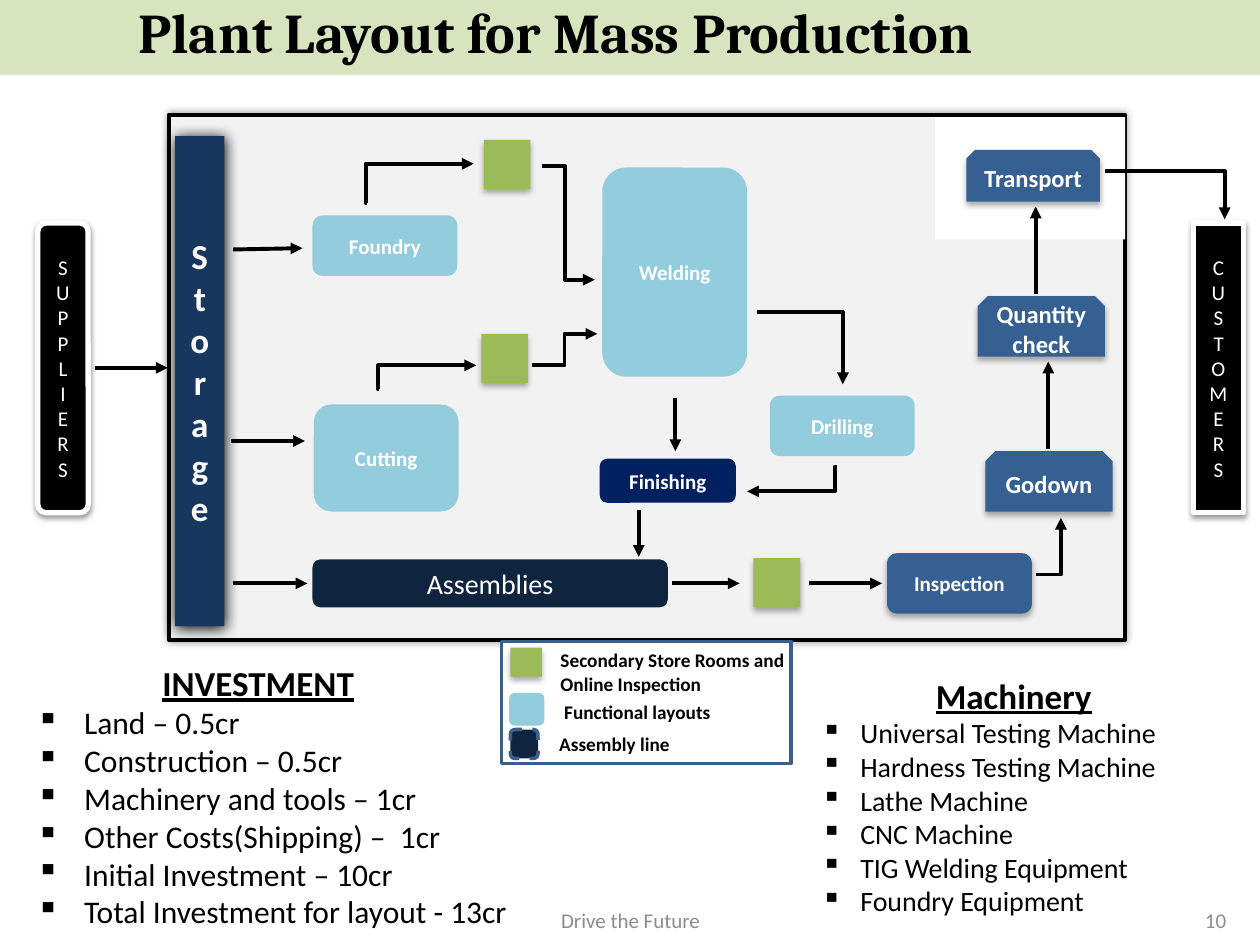
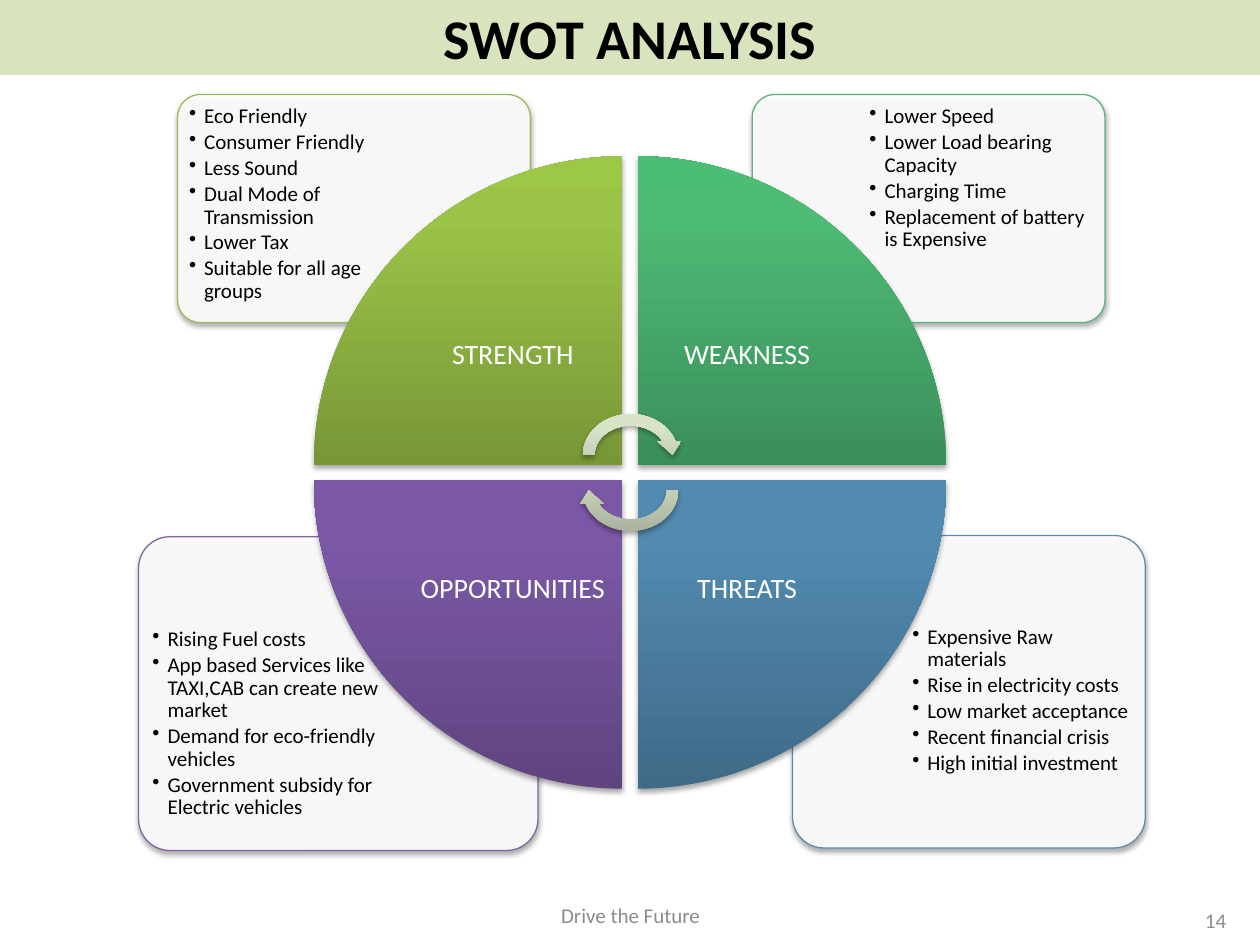
from lxml import etree
from pptx import Presentation
from pptx.dml.color import RGBColor
from pptx.enum.dml import MSO_LINE
from pptx.enum.shapes import MSO_CONNECTOR, MSO_SHAPE
from pptx.enum.text import MSO_ANCHOR, PP_ALIGN
from pptx.oxml.ns import qn
from pptx.util import Inches, Pt

RECT = MSO_SHAPE.RECTANGLE
ROUND = MSO_SHAPE.ROUNDED_RECTANGLE
SNIP = MSO_SHAPE.SNIP_2_SAME_RECTANGLE
WEDGE = MSO_SHAPE.PIE_WEDGE
SWIRL = MSO_SHAPE.CIRCULAR_ARROW
LINE, ELBOW = MSO_CONNECTOR.STRAIGHT, MSO_CONNECTOR.ELBOW
LEFT, CENTER, RIGHT = PP_ALIGN.LEFT, PP_ALIGN.CENTER, PP_ALIGN.RIGHT
TOP, MIDDLE = MSO_ANCHOR.TOP, MSO_ANCHOR.MIDDLE
DASH = MSO_LINE.DASH

# Shared colours
BLACK, WHITE, GREY = "000000", "FFFFFF", "8C8C8C"
BAND, FLOOR = "D7E4BD", "F2F2F2"
GREEN, SKY, STEEL = "9BBB59", "93CDDD", "376092"
NAVY, BLUE, DARK, EDGE = "17375E", "002060", "0F243E", "3A5F8C"

# Shadows: opacity %, blur, distance (points)
GLOW = (40, 5, 0)
DROP = (32, 3.5, 2.2)
DEEP = (100, 8.5, 1)
SOFT = (38, 3.1, 1.6)
LIFT = (35, 3.1, 1.8)


def rgb(code):
    return RGBColor.from_string(code)


def node(parent, tag, **attrs):
    child = etree.SubElement(parent, qn(tag))
    for key, value in attrs.items():
        child.set(key, str(value))
    return child


# Text
def write(frame, text, size=12, color=BLACK, bold=False, under=False, font="Calibri",
          align=LEFT, indent=0, bullet=None, spacing=None, after=None):
    """Add one paragraph to the frame."""
    para = frame.paragraphs[0]
    if para.runs:
        para = frame.add_paragraph()
    para.alignment = align
    if spacing:
        para.line_spacing = spacing
    if after:
        para.space_after = Pt(after)
    props = para._p.get_or_add_pPr()
    if indent:
        props.set("marL", str(Inches(indent)))
    if bullet:
        props.set("indent", str(-Inches(indent)))
        node(props, "a:buChar", char=bullet)
    run = para.add_run()
    run.text = text
    run.font.name, run.font.size = font, Pt(size)
    run.font.bold, run.font.underline = bold, under
    run.font.color.rgb = rgb(color)


def box(slide, at, inset=None, anchor=TOP):
    frame = slide.shapes.add_textbox(*map(Inches, at)).text_frame
    frame.word_wrap = True
    frame.vertical_anchor = anchor
    if inset:
        frame.margin_left = frame.margin_right = Inches(inset)
        frame.margin_top = frame.margin_bottom = Inches(inset)
    return frame


# Shapes
def shade(shape, shadow):
    alpha, blur, dist = shadow
    effects = shape._element.spPr.find(qn("a:effectLst"))
    outer = node(effects, "a:outerShdw", blurRad=Pt(blur), dist=Pt(dist),
                 dir=5400000, rotWithShape=0)
    tint = node(outer, "a:srgbClr", val=BLACK)
    node(tint, "a:alpha", val=alpha * 1000)


def blend(shape, colors):
    """Fill upwards, keeping the direction when the shape turns."""
    shape.fill.gradient()
    grad = shape._element.spPr.find(qn("a:gradFill"))
    grad.set("rotWithShape", "0")
    for child in list(grad):
        grad.remove(child)
    stops = node(grad, "a:gsLst")
    for pos, color in zip((0, 80, 100), colors):
        node(node(stops, "a:gs", pos=pos * 1000), "a:srgbClr", val=color)
    node(grad, "a:lin", ang=270 * 60000, scaled=0)


def block(slide, kind, at, fill, edge=None, width=2, shadow=None, turn=0, adj=None):
    shape = slide.shapes.add_shape(kind, *map(Inches, at))
    shape.shadow.inherit = False
    shape.rotation = turn
    if adj is not None:
        shape.adjustments[0] = adj
    if isinstance(fill, tuple):
        blend(shape, fill)
    else:
        shape.fill.solid()
        shape.fill.fore_color.rgb = rgb(fill)
    if edge:
        shape.line.color.rgb = rgb(edge)
        shape.line.width = Pt(width)
    else:
        shape.line.fill.background()
    if shadow:
        shade(shape, shadow)
    return shape


def label(shape, text, size=12, bold=True, tall=False):
    frame = shape.text_frame
    frame.word_wrap = True
    frame.vertical_anchor = MIDDLE
    if tall:
        frame._txBody.bodyPr.set("vert", "wordArtVert")
    write(frame, text, size=size, bold=bold, color=WHITE, align=CENTER)


def arrow(slide, start, end, kind=LINE, bend=None, corner=False):
    link = slide.shapes.add_connector(kind, *map(Inches, start + end))
    link.line.color.rgb = rgb(BLACK)
    link.line.width = Pt(2.25)
    props = link._element.spPr
    node(props.find(qn("a:ln")), "a:tailEnd", type="triangle")
    node(props, "a:effectLst")
    geom = props.find(qn("a:prstGeom"))
    if corner:
        geom.set("prst", "bentConnector2")
    elif bend is not None:
        guides = geom.find(qn("a:avLst"))
        node(guides, "a:gd", name="adj1", fmla=f"val {round(bend * 100000)}")


# Parts on every slide
def base(deck, number, foot):
    slide = deck.slides.add_slide(deck.slide_layouts[6])
    block(slide, RECT, (0, 0, 10, 0.58), BAND, BAND)
    for text, at, align in (("Drive the Future", (3.42, foot, 3.17, 0.4), CENTER),
                            (number, (7.5, 7.1, 2.33, 0.4), RIGHT)):
        write(box(slide, at, anchor=MIDDLE), text, color=GREY, align=align)
    return slide


def title(slide, text, top, **style):
    write(box(slide, (0, top, 10, 0.64)), text, size=32, bold=True, **style)


# Plant layout
def plant(deck):
    slide = base(deck, "10", 7.1)
    block(slide, RECT, (1.34, 0.91, 7.59, 4.17), FLOOR, BLACK, 2.25, GLOW)
    block(slide, RECT, (7.42, 0.93, 1.51, 0.97), WHITE)
    store = block(slide, RECT, (1.39, 1.08, 0.39, 3.89), NAVY, shadow=DEEP)
    label(store, "Storage", size=20, tall=True)
    for text, left, adj in (("SUPPLIERS", 0.3, None), ("CUSTOMERS", 9.47, 0)):
        side = block(slide, ROUND, (left, 1.77, 0.4, 2.3), BLACK, WHITE, 3, SOFT, adj=adj)
        label(side, text, bold=False, tall=True)

    # Work stations
    for text, left, top, high in (("Foundry", 2.48, 1.71, 0.48), ("Welding", 4.78, 1.33, 1.66),
                                  ("Cutting", 2.49, 3.21, 0.85), ("Drilling", 6.11, 3.14, 0.48)):
        label(block(slide, ROUND, (left, top, 1.15, high), SKY), text)
    label(block(slide, ROUND, (4.76, 3.64, 1.08, 0.35), BLUE), "Finishing")
    label(block(slide, ROUND, (2.48, 4.44, 2.82, 0.38), DARK), "Assemblies", 16, False)
    label(block(slide, ROUND, (7.04, 4.39, 1.15, 0.48), STEEL, shadow=DROP), "Inspection")
    for text, at in (("Transport", (7.67, 1.19, 1.06, 0.41)),
                     ("Quantity check", (7.76, 2.35, 1.01, 0.48)),
                     ("Godown", (7.82, 3.58, 1.01, 0.48))):
        label(block(slide, SNIP, at, STEEL, shadow=DROP), text, 14)
    for left, top in ((3.84, 1.11), (3.82, 2.65), (5.98, 4.43)):
        block(slide, RECT, (left, top, 0.37, 0.39), GREEN, shadow=DROP)

    # Flow
    for start, end in (((0.75, 2.92), (1.33, 2.92)), ((1.85, 1.98), (2.4, 1.97)),
                       ((1.83, 3.5), (2.42, 3.5)), ((1.85, 4.63), (2.44, 4.63)),
                       ((5.36, 3.16), (5.36, 3.58)), ((5.07, 4.05), (5.07, 4.42)),
                       ((5.33, 4.63), (5.87, 4.63)), ((6.42, 4.63), (7, 4.63)),
                       ((8.32, 3.56), (8.32, 2.87)), ((8.22, 2.33), (8.22, 1.64))):
        arrow(slide, start, end)
    for start, end, bend in (((2.91, 1.61), (3.76, 1.3), -0.01),
                             ((4.3, 1.32), (4.72, 2.22), 0.44),
                             ((3.01, 3.09), (3.78, 2.9), -0.01),
                             ((4.22, 2.9), (4.74, 2.65), 0.5),
                             ((6.64, 3.71), (5.93, 3.9), 0.02)):
        arrow(slide, start, end, ELBOW, bend)
    for start, end in (((8.22, 4.56), (8.42, 4.11)), ((6.01, 2.48), (6.69, 3.05)),
                       ((8.77, 1.36), (9.72, 1.74))):
        arrow(slide, start, end, ELBOW, corner=True)

    # Legend
    block(slide, RECT, (3.98, 5.09, 2.3, 0.97), WHITE, EDGE)
    block(slide, RECT, (4.05, 5.14, 0.25, 0.23), GREEN, shadow=DROP)
    block(slide, ROUND, (4.04, 5.5, 0.28, 0.26), SKY)
    block(slide, ROUND, (4.05, 5.79, 0.22, 0.23), DARK, EDGE).line.dash_style = DASH
    for text, at in (("Secondary Store Rooms and Online Inspection", (4.35, 5.1, 2.07, 0.47)),
                     ("Functional layouts", (4.38, 5.51, 1.43, 0.29)),
                     ("Assembly line", (4.34, 5.76, 1.83, 0.29))):
        write(box(slide, at), text, size=11, bold=True)

    # Lists
    lists = (
        ("INVESTMENT", (0.19, 5.2, 4.46, 2.26), {"indent": 1}, 18, 0.38,
         ("Land – 0.5cr", "Construction – 0.5cr", "Machinery and tools – 1cr",
          "Other Costs(Shipping) –  1cr", "Initial Investment – 10cr",
          "Total Investment for layout - 13cr")),
        ("Machinery", (6.42, 5.3, 3.25, 2.05), {"align": CENTER}, 16, 0.31,
         ("Universal Testing Machine", "Hardness Testing Machine", "Lathe Machine",
          "CNC Machine", "TIG Welding Equipment", "Foundry Equipment")),
    )
    for head, at, place, size, indent, items in lists:
        frame = box(slide, at)
        write(frame, head, size=20, bold=True, under=True, **place)
        for item in items:
            write(frame, item, size=size, indent=indent, bullet="▪")
    title(slide, "Plant Layout for Mass Production", -0.07, font="Cambria", indent=1)


# SWOT analysis
def swot(deck):
    slide = base(deck, "14", 7.06)
    panels = (
        ("608CAB", (6.29, 4.25, 2.8, 2.48), (7.19, 4.92, 1.85, 1.75),
         ("Expensive Raw materials", "Rise in electricity costs", "Low market acceptance",
          "Recent financial crisis", "High initial investment")),
        ("8064A2", (1.1, 4.26, 3.17, 2.49), (1.16, 4.94, 2.11, 1.76),
         ("Rising Fuel costs", "App based Services like TAXI,CAB can create new market",
          "Demand for eco-friendly vehicles", "Government subsidy for Electric vehicles")),
        ("5CB37C", (5.97, 0.75, 2.8, 1.81), (6.85, 0.79, 1.88, 1.28),
         ("Lower Speed", "Lower Load bearing Capacity", "Charging Time",
          "Replacement of battery is Expensive")),
        (GREEN, (1.41, 0.75, 2.8, 1.81), (1.45, 0.79, 1.88, 1.28),
         ("Eco Friendly", "Consumer Friendly", "Less Sound", "Dual Mode of Transmission",
          "Lower Tax", "Suitable for all age groups")),
    )
    for edge, at, area, items in panels:
        panel = block(slide, ROUND, at, WHITE, edge, 0.75, LIFT, adj=0.1)
        tint = panel._element.spPr.find(qn("a:solidFill"))[0]
        node(tint, "a:alpha", val=90000)
        frame = box(slide, area, 0.05)
        for item in items:
            write(frame, item, indent=0.12, bullet="•", spacing=0.9, after=1.8)

    # Quarters, clockwise from top left
    size, span, near, gap = 2.45, 1.74, 2.49, 2.57
    quarters = (("STRENGTH", 0, 0, ("779737", "9BC348", "9DC746")),
                ("WEAKNESS", 1, 0, ("3B8F5A", "4DBA75", "4BBD75")),
                ("THREATS", 1, 1, ("3F6A88", "528AB0", "518BB3")),
                ("OPPORTUNITIES", 0, 1, ("5F4480", "7B58A6", "7C57A8")))
    for step, (text, col, row, colors) in enumerate(quarters):
        left, top = near + col * gap, 1.24 + row * gap
        block(slide, WEDGE, (left, top, size, size), colors, shadow=LIFT, turn=90 * step)
        inner = (left + (1 - col) * (size - span), top + (1 - row) * (size - span), span, span)
        write(box(slide, inner, 0.12, MIDDLE), text, size=16, color=WHITE,
              align=CENTER, spacing=0.9)
    for top, turn in ((3.24, 0), (3.52, 180)):
        block(slide, SWIRL, (4.58, top, 0.85, 0.74), ("A6AF9A", "D8E3C8", "D9E4C8"),
              shadow=LIFT, turn=turn)
    title(slide, "SWOT ANALYSIS", -0.02, align=CENTER)


def main():
    deck = Presentation()
    deck.slide_width, deck.slide_height = Inches(10), Inches(7.5)
    plant(deck)
    swot(deck)
    deck.save("out.pptx")


if __name__ == "__main__":
    main()
